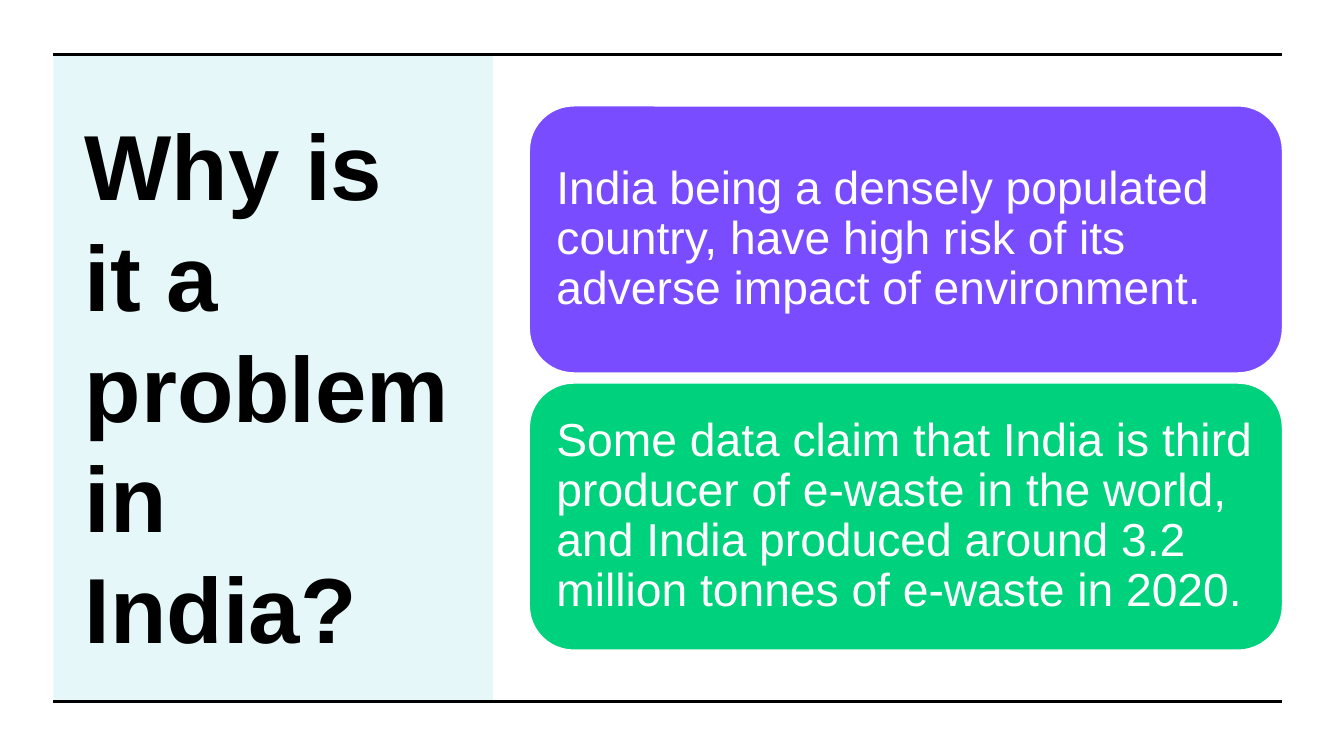
from lxml import etree
from pptx import Presentation
from pptx.dml.color import RGBColor
from pptx.enum import shapes, text
from pptx.oxml import ns
from pptx.util import Inches, Pt

BLACK = RGBColor(0x00, 0x00, 0x00)
WHITE = RGBColor(0xFF, 0xFF, 0xFF)
TEAL = RGBColor(0x00, 0xBA, 0xC8)
PURPLE = RGBColor(0x79, 0x4D, 0xFF)
GREEN = RGBColor(0x00, 0xD1, 0x7D)

LEFT, RIGHT, TOP, BOTTOM = 0.53, 12.72, 0.54, 6.96
CARD_LEFT, CARD_TOP, CARD_HEIGHT, CARD_GAP = 5.25, 1.05, 2.65, 0.1


def write(paragraph, words, size, color, bold=False):
    paragraph.alignment = text.PP_ALIGN.LEFT
    run = paragraph.add_run()
    run.text = words
    run.font.name = "Arial"
    run.font.size = Pt(size)
    run.font.bold = bold
    run.font.color.rgb = color


presentation = Presentation()
presentation.slide_width = Inches(13.33)
presentation.slide_height = Inches(7.5)
slide = presentation.slides.add_slide(presentation.slide_layouts[5])

panel = slide.shapes.add_shape(
    shapes.MSO_SHAPE.RECTANGLE,
    Inches(LEFT), Inches(TOP), Inches(4.36), Inches(BOTTOM - TOP))
panel.shadow.inherit = False
panel.fill.solid()
panel.fill.fore_color.rgb = TEAL
panel.line.fill.background()
panel_color = panel.fill._xPr.find(".//" + ns.qn("a:srgbClr"))
etree.SubElement(panel_color, ns.qn("a:alpha"), val="10000")

title = slide.shapes.title
title.left, title.top = Inches(0.74), Inches(1.07)
title.width, title.height = Inches(3.89), Inches(5.5)
title_frame = title.text_frame
title_frame.word_wrap = True
title_frame.auto_size = text.MSO_AUTO_SIZE.NONE
title_frame.vertical_anchor = text.MSO_ANCHOR.MIDDLE
title_frame.paragraphs[0].space_after = Pt(6)
write(title_frame.paragraphs[0], "Why is it a problem in India?", 66, BLACK, True)
slide.shapes._spTree.append(title._element)

for y in (TOP, BOTTOM):
    rule = slide.shapes.add_connector(
        shapes.MSO_CONNECTOR.STRAIGHT,
        Inches(LEFT), Inches(y), Inches(RIGHT), Inches(y))
    rule.line.color.rgb = BLACK
    rule.line.width = Pt(2.25)
    etree.SubElement(rule._element.spPr, ns.qn("a:effectLst"))

cards = [
    (PURPLE, "India being a densely populated country, have high risk of its "
             "adverse impact of environment."),
    (GREEN, "Some data claim that India is third producer of e-waste in the world, "
            "and India produced around 3.2 million tonnes of e-waste in 2020."),
]
for index, (color, words) in enumerate(cards):
    card = slide.shapes.add_shape(
        shapes.MSO_SHAPE.ROUNDED_RECTANGLE,
        Inches(CARD_LEFT), Inches(CARD_TOP + index * (CARD_HEIGHT + CARD_GAP)),
        Inches(RIGHT - CARD_LEFT), Inches(CARD_HEIGHT))
    card.shadow.inherit = False
    card.fill.solid()
    card.fill.fore_color.rgb = color
    card.line.color.rgb = WHITE
    card.line.width = Pt(1)
    frame = card.text_frame
    frame.word_wrap = True
    frame.vertical_anchor = text.MSO_ANCHOR.MIDDLE
    frame.margin_left = frame.margin_right = Inches(0.14)
    frame.margin_top = frame.margin_bottom = Inches(0.14)
    frame.paragraphs[0].line_spacing = 0.9
    write(frame.paragraphs[0], words, 33, WHITE)

presentation.save("out.pptx")
